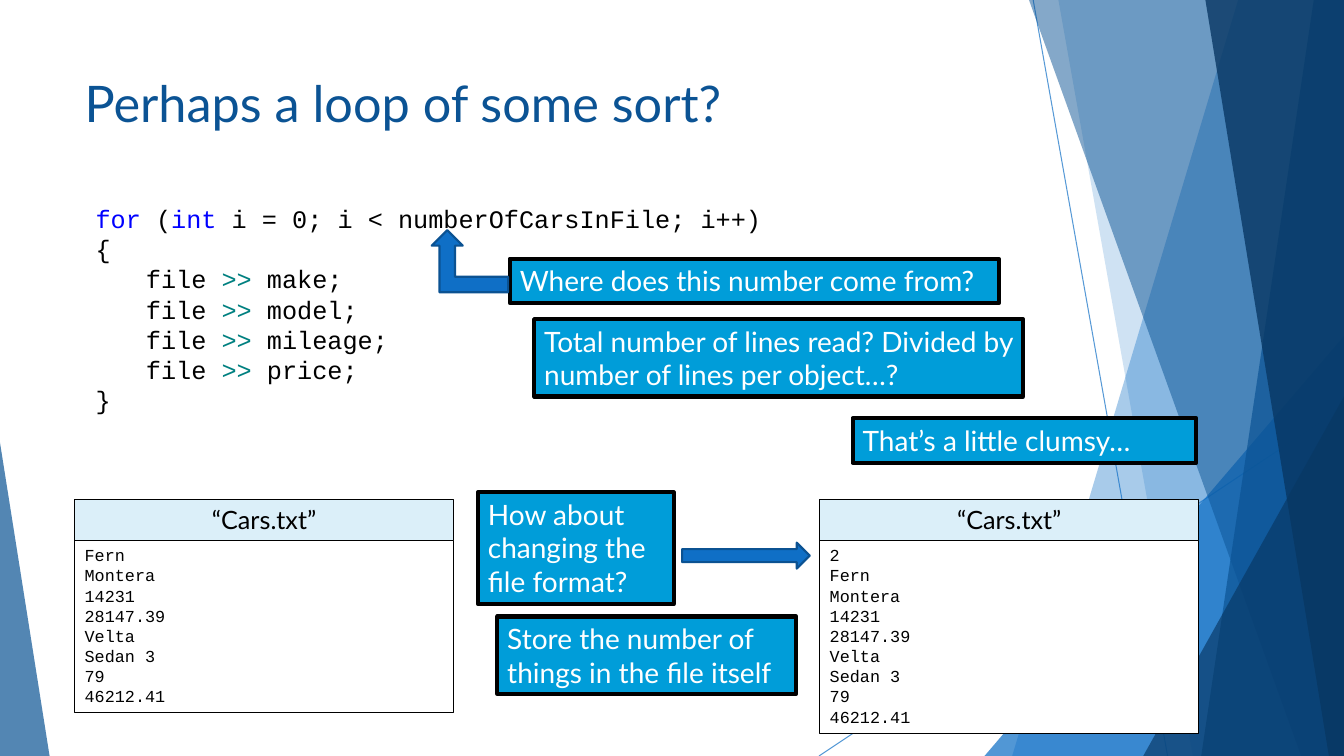
"""Build the slide about reading a car file with a counted loop."""
from lxml import etree
from pptx import Presentation
from pptx import util as u
from pptx.dml.color import RGBColor
from pptx.enum import shapes, text
from pptx.oxml.ns import qn

presentation = Presentation()
presentation.slide_width, presentation.slide_height = u.Inches(13.33), u.Inches(7.5)
COLUMNS, ROWS = 160, 90
column = presentation.slide_width / COLUMNS
row = presentation.slide_height / ROWS
slide = presentation.slides.add_slide(presentation.slide_layouts[6])
BLUE, DEEP, NAVY, BLACK = "0F6FC6", "0B5394", "083763", "000000"
PRESET = shapes.MSO_SHAPE
TITLE = {"size": u.Pt(36), "name": "Lato"}
NOTE = {"size": u.Pt(20), "name": "Lato"}
HEADING = {"size": u.Pt(18), "name": "Lato"}
CODE = {"size": u.Pt(18), "name": "Courier New"}
DATA = {"size": u.Pt(12), "name": "Courier New"}


def paint(fill, colour):
    """Give a fill one solid colour."""
    fill.solid()
    fill.fore_color.rgb = RGBColor.from_string(colour)


def add_box(place, lines=(), style=NOTE, kind=PRESET.RECTANGLE, fill=None,
            line=BLACK, weight=0.75, align=text.PP_ALIGN.LEFT):
    """Add a shape, or a text box if kind is None, with lines of (words, colour) runs."""
    left, top, width, height = place
    box = [round(left * column), round(top * row), round(width * column), round(height * row)]
    if kind is None:
        shape = slide.shapes.add_textbox(*box)
    else:
        shape = slide.shapes.add_shape(kind, *box)
        shape.shadow.inherit = False
        paint(shape.fill, fill)
        if line:
            paint(shape.line.fill, line)
            shape.line.width = u.Pt(weight)
        else:
            shape.line.fill.background()
    frame = shape.text_frame
    frame.word_wrap = True
    frame.vertical_anchor = text.MSO_ANCHOR.TOP
    for number, runs in enumerate(lines):
        paragraph = frame.add_paragraph() if number else frame.paragraphs[0]
        paragraph.alignment = align
        if runs[0][0].startswith("\t"):
            stops = etree.SubElement(paragraph._p.get_or_add_pPr(), qn("a:tabLst"))
            etree.SubElement(stops, qn("a:tab"), pos=str(u.Inches(0.5)), algn="l")
        for words, colour in runs:
            run = paragraph.add_run()
            run.text = words
            for name, value in style.items():
                setattr(run.font, name, value)
            paint(run.font.fill, colour)
    return shape


veils = []
for x1, y1, x2, y2 in [(123, 0, 139, ROWS), (COLUMNS, 48.4, 97.5, ROWS)]:
    ray = slide.shapes.add_connector(
        shapes.MSO_CONNECTOR.STRAIGHT,
        round(x1 * column), round(y1 * row), round(x2 * column), round(y2 * row))
    paint(ray.line.fill, BLUE)
    ray.line.width = u.Pt(0.75)
    etree.SubElement(ray.element.spPr, qn("a:effectLst"))
    veils.append((ray, 70))

for kind, geometry, colour, opacity in [
    ("band", (147.4, 120.5), BLUE, 36),
    ("band", (126, 142), BLUE, 20),
    ("right triangle", (117.2, 40, 42.8, 50), BLUE, 72),
    ("band", (122.5, 154.9), DEEP, 50),
    ("band", (156.4, 143), DEEP, 70),
    ("band", (143.5, 158.2), NAVY, 80),
    ("right triangle", (136.1, 47.2, 23.9, 42.8), NAVY, 66),
    ("left triangle", (0, 52.7, 5.9, 37.3), DEEP, 70),
]:
    if kind == "band":
        upper, lower = (round(x * column) for x in geometry)
        right, bottom = presentation.slide_width, presentation.slide_height
        builder = slide.shapes.build_freeform(upper, 0)
        builder.add_line_segments([(right, 0), (right, bottom), (lower, bottom)])
        veil = builder.convert_to_shape()
        veil.shadow.inherit = False
        veil.line.fill.background()
        paint(veil.fill, colour)
    else:
        veil = add_box(geometry, kind=PRESET.ISOSCELES_TRIANGLE, fill=colour, line=None)
        veil.adjustments[0] = 1 if kind == "right triangle" else 0
    veils.append((veil, opacity))

for veil, opacity in veils:
    for tint in veil.element.spPr.iter(qn("a:srgbClr")):
        etree.SubElement(tint, qn("a:alpha"), val=str(opacity * 1000))

add_box((8.9, 8, 112.8, 10.1), [[("Perhaps a loop of some sort?", DEEP)]], TITLE, kind=None)

KEYWORD, OPERATOR = "0000FF", "008080"
loop = [
    [("for ", KEYWORD), ("(", BLACK), ("int", KEYWORD),
     (" i = 0; i < numberOfCarsInFile; i++)", BLACK)],
    [("{", BLACK)],
    *([("\tfile ", BLACK), (">>", OPERATOR), (f" {field};", BLACK)]
      for field in ("make", "model", "mileage", "price")),
    [("}", BLACK)],
]
add_box((10.2, 23.6, 119.2, 26.6), loop, CODE, kind=None)

for place, words in [
    ((60.7, 30.8, 58.2, 5.3), "Where does this number come from?"),
    ((63.6, 38, 58.2, 9.2), "Total number of lines read? Divided by number of lines per object…?"),
    ((101.5, 49.8, 40.9, 5.3), "That’s a little clumsy…"),
    ((56.9, 58.6, 23.3, 13.3), "How about changing the file format?"),
    ((59.2, 73.4, 35.6, 9.2), "Store the number of things in the file itself"),
]:
    add_box(place, [[(words, "FFFFFF")]], fill="009DD9", weight=3)

cars = ["Fern", "Montera", "14231", "28147.39", "Velta", "Sedan 3", "79", "46212.41"]
for left, records in [(8.9, cars), (97.6, ["2", *cars])]:
    add_box((left, 59.5, 45.1, 4.8), [[("“Cars.txt”", BLACK)]], HEADING,
            fill="DBEFF9", align=text.PP_ALIGN.CENTER)
    add_box((left, 64.3, 45.1, 1.2 + 2.42 * len(records)),
            [[(record, BLACK)] for record in records], DATA, fill="FFFFFF")

ARROW = {"fill": BLUE, "line": "0B5292", "weight": 1.5}
add_box((81.2, 64.6, 15.2, 3.1), kind=PRESET.RIGHT_ARROW, **ARROW)
pointer = add_box((51.4, 27.4, 9.1, 7.4), kind=PRESET.BENT_UP_ARROW, **ARROW)
pointer.element.spPr.xfrm.set("flipH", "1")

presentation.save("out.pptx")
